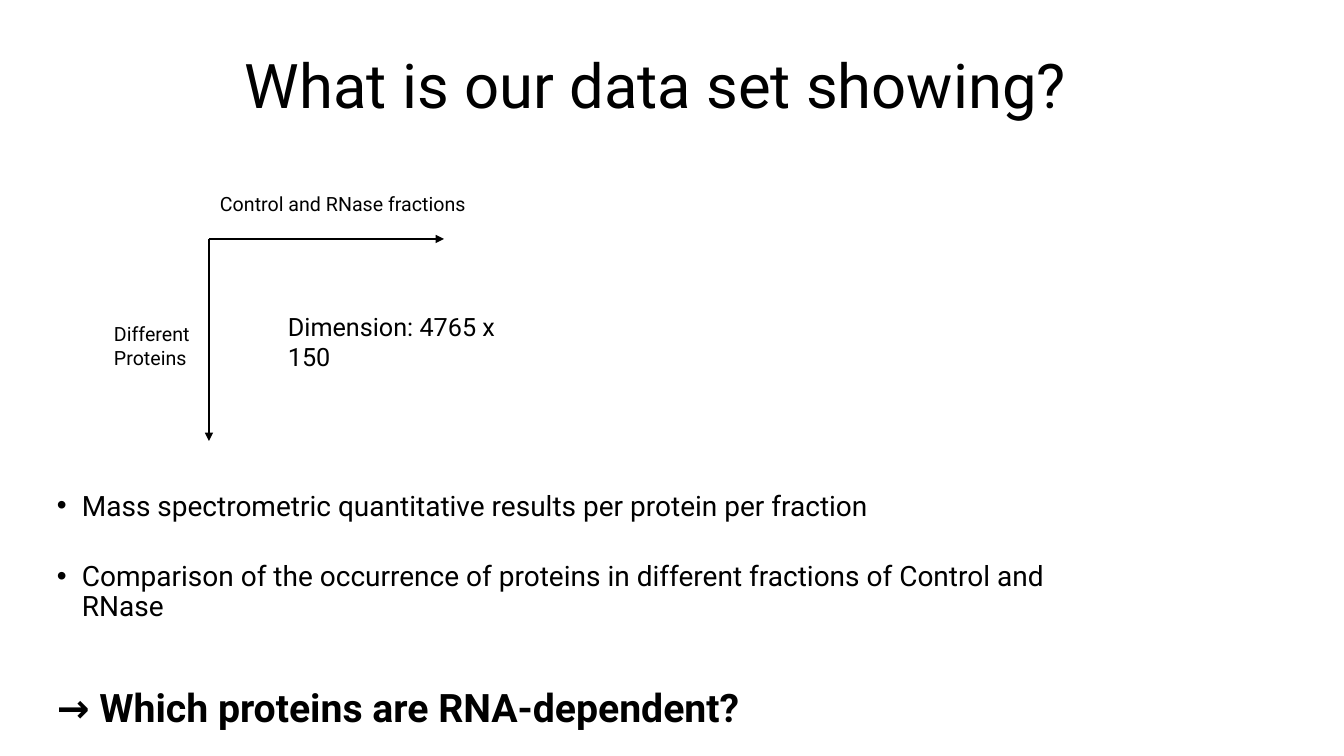
import pptx
import pptx.dml.color
import pptx.enum.shapes
import pptx.enum.text
import pptx.oxml
import pptx.oxml.ns
import pptx.util

BLACK = pptx.dml.color.RGBColor(0x00, 0x00, 0x00)
WHITE = pptx.dml.color.RGBColor(0xFF, 0xFF, 0xFF)
FONT = "Roboto"
EMU_PER_PIXEL = 914400 / 100.8
CENTER = pptx.enum.text.PP_ALIGN.CENTER
LEFT = pptx.enum.text.PP_ALIGN.LEFT
DRAWING = pptx.oxml.ns.nsdecls("a")


def px(length):
    return pptx.util.Emu(round(length * EMU_PER_PIXEL))


def write_text(paragraph, text, size, bold=False, align=LEFT, line_spacing=None,
               space_before=0, bullet=False):
    run = paragraph.add_run()
    run.text = text
    run.font.name = FONT
    run.font.size = pptx.util.Pt(size)
    run.font.bold = bold
    run.font.color.rgb = BLACK
    paragraph.alignment = align
    paragraph.line_spacing = line_spacing
    paragraph.space_before = pptx.util.Pt(space_before)
    if bullet:
        properties = paragraph._p.get_or_add_pPr()
        properties.set("marL", str(px(25)))
        properties.set("indent", str(px(-25)))
        properties.append(pptx.oxml.parse_xml(f'<a:buFont {DRAWING} typeface="Arial"/>'))
        properties.append(pptx.oxml.parse_xml(f'<a:buChar {DRAWING} char="•"/>'))


class SlideBuilder:
    def __init__(self, presentation):
        self.slide = presentation.slides.add_slide(presentation.slide_layouts[5])
        self.slide.background.fill.solid()
        self.slide.background.fill.fore_color.rgb = WHITE

    def place(self, shape, left, top, width, height, right_inset=10):
        shape.left, shape.top = px(left), px(top)
        shape.width, shape.height = px(width), px(height)
        frame = shape.text_frame
        frame.word_wrap = True
        frame.auto_size = pptx.enum.text.MSO_AUTO_SIZE.NONE
        frame.margin_right = px(right_inset)
        return frame

    def title(self, text, *box, right_inset=10):
        frame = self.place(self.slide.shapes.title, *box, right_inset=right_inset)
        frame.vertical_anchor = pptx.enum.text.MSO_ANCHOR.MIDDLE
        write_text(frame.paragraphs[0], text, size=44, align=CENTER, line_spacing=0.9)

    def text_box(self, *box, right_inset=10):
        shape = self.slide.shapes.add_textbox(0, 0, 0, 0)
        return self.place(shape, *box, right_inset=right_inset)

    def label(self, text, *box, size=14, align=LEFT, right_inset=10):
        frame = self.text_box(*box, right_inset=right_inset)
        write_text(frame.paragraphs[0], text, size=size, align=align)

    def body(self, items, *box):
        frame = self.text_box(*box)
        for index, (text, style) in enumerate(items):
            paragraph = frame.add_paragraph() if index else frame.paragraphs[0]
            write_text(paragraph, text, line_spacing=0.9, **style)

    def arrow(self, start_x, start_y, end_x, end_y):
        connector = self.slide.shapes.add_connector(
            pptx.enum.shapes.MSO_CONNECTOR.STRAIGHT,
            px(start_x), px(start_y), px(end_x), px(end_y))
        connector.line.color.rgb = BLACK
        connector.line.width = pptx.util.Pt(1.5)
        connector.line._get_or_add_ln().append(
            pptx.oxml.parse_xml(f'<a:tailEnd {DRAWING} type="triangle"/>'))
        connector._element.spPr.append(pptx.oxml.parse_xml(f"<a:effectLst {DRAWING}/>"))


def main():
    presentation = pptx.Presentation()
    presentation.slide_width = px(1344)
    presentation.slide_height = px(756)
    builder = SlideBuilder(presentation)

    builder.title("What is our data set showing?", 0, 16, 1344, 146, right_inset=42)

    origin_x, origin_y = 209, 239
    builder.arrow(origin_x, origin_y, origin_x, 441)
    builder.arrow(origin_x, origin_y, 444, origin_y)
    builder.label("Control and RNase fractions", 209, 187, 273, 34,
                  align=CENTER, right_inset=15)
    builder.label("Different Proteins", 104, 317, 123, 57)
    builder.label("Dimension: 4765 x 150", 278, 306, 267, 40, size=18)

    builder.body([
        ("Mass spectrometric quantitative results per protein per fraction",
         {"size": 20, "space_before": 10, "bullet": True}),
        ("Comparison of the occurrence of proteins in different fractions of Control and RNase",
         {"size": 20, "space_before": 28.5, "bullet": True}),
        ("→ Which proteins are RNA-dependent?",
         {"size": 28, "space_before": 47, "bold": True}),
    ], 47, 487, 1073, 215)

    presentation.save("out.pptx")


if __name__ == "__main__":
    main()
